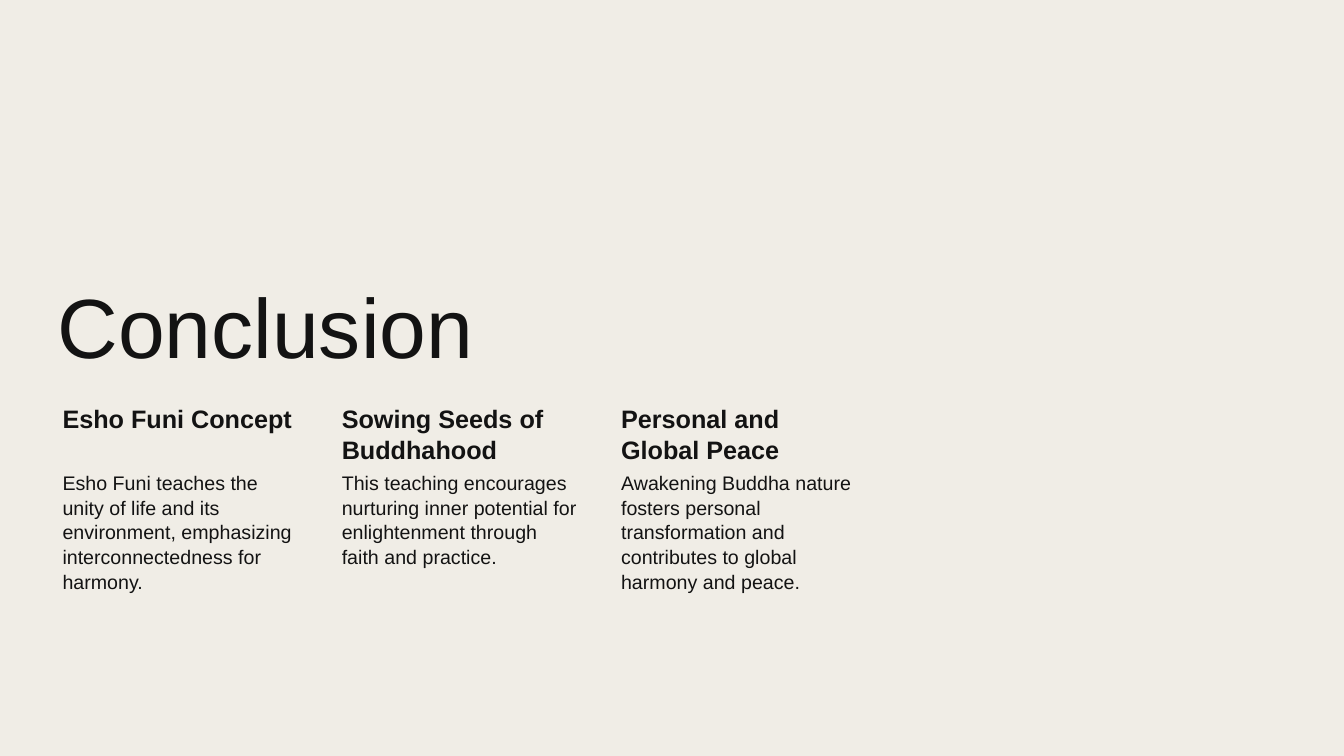
from dataclasses import dataclass

from pptx import Presentation
from pptx.dml.color import RGBColor
from pptx.enum.text import MSO_ANCHOR, PP_ALIGN
from pptx.shapes.group import GroupShape
from pptx.text.text import TextFrame
from pptx.util import Inches, Pt

BACKGROUND = RGBColor(0xF0, 0xED, 0xE6)
INK = RGBColor(0x13, 0x13, 0x13)
FONT_NAME = "Arial"

LEFT = 0.47
COLUMN_WIDTH = 2.52
COLUMN_STEP = 2.77
TEXT_INDENT = 0.15


@dataclass(frozen=True)
class TextStyle:
    size: int
    bold: bool
    line_spacing: float
    space_after: float = 0


@dataclass(frozen=True)
class Row:
    top: float
    height: float
    inset: float
    style: TextStyle


@dataclass(frozen=True)
class Takeaway:
    heading: str
    body: str


TITLE_STYLE = TextStyle(60, False, 0.9)
HEADING_ROW = Row(3.96, 0.68, 0.03, TextStyle(18, True, 1.04, 6.3))
BODY_ROW = Row(4.64, 1.76, 0.02, TextStyle(14, False, 1.05, 4.9))

TAKEAWAYS = [
    Takeaway(
        "Esho Funi Concept",
        "Esho Funi teaches the unity of life and its environment, "
        "emphasizing interconnectedness for harmony.",
    ),
    Takeaway(
        "Sowing Seeds of Buddhahood",
        "This teaching encourages nurturing inner potential for "
        "enlightenment through faith and practice.",
    ),
    Takeaway(
        "Personal and Global Peace",
        "Awakening Buddha nature fosters personal transformation and "
        "contributes to global harmony and peace.",
    ),
]


def write_text(frame: TextFrame, text: str, style: TextStyle) -> None:
    frame.word_wrap = True
    paragraph = frame.paragraphs[0]
    paragraph.text = text
    paragraph_format = {
        "alignment": PP_ALIGN.LEFT,
        "line_spacing": style.line_spacing,
        "space_before": Pt(0),
        "space_after": Pt(style.space_after),
    }
    for name, value in paragraph_format.items():
        setattr(paragraph, name, value)
    font = paragraph.runs[0].font
    font_format = {"name": FONT_NAME, "size": Pt(style.size), "bold": style.bold}
    for name, value in font_format.items():
        setattr(font, name, value)
    font.color.rgb = INK


def add_cell(group: GroupShape, left: float, row: Row, text: str) -> None:
    shape = group.shapes.add_textbox(
        Inches(left), Inches(row.top), Inches(COLUMN_WIDTH), Inches(row.height)
    )
    frame = shape.text_frame
    frame_format = {
        "margin_left": Inches(TEXT_INDENT),
        "margin_top": Inches(row.inset),
        "margin_right": Inches(row.inset),
        "margin_bottom": Inches(row.inset),
        "vertical_anchor": MSO_ANCHOR.TOP,
    }
    for name, value in frame_format.items():
        setattr(frame, name, value)
    write_text(frame, text, row.style)


def main() -> None:
    presentation = Presentation()
    presentation.slide_width = Inches(13.33)
    presentation.slide_height = Inches(7.5)
    slide = presentation.slides.add_slide(presentation.slide_layouts[5])

    # Background
    slide.background.fill.solid()
    slide.background.fill.fore_color.rgb = BACKGROUND

    # Title
    title = slide.shapes.title
    title_position = {"left": LEFT, "top": 1.78, "width": 8.06, "height": 2.01}
    for name, value in title_position.items():
        setattr(title, name, Inches(value))
    title.text_frame.vertical_anchor = MSO_ANCHOR.BOTTOM
    write_text(title.text_frame, "Conclusion", TITLE_STYLE)

    # Three takeaways side by side
    group = slide.shapes.add_group_shape()
    for index, takeaway in enumerate(TAKEAWAYS):
        left = LEFT + index * COLUMN_STEP
        add_cell(group, left, HEADING_ROW, takeaway.heading)
        add_cell(group, left, BODY_ROW, takeaway.body)

    presentation.save("out.pptx")


if __name__ == "__main__":
    main()
